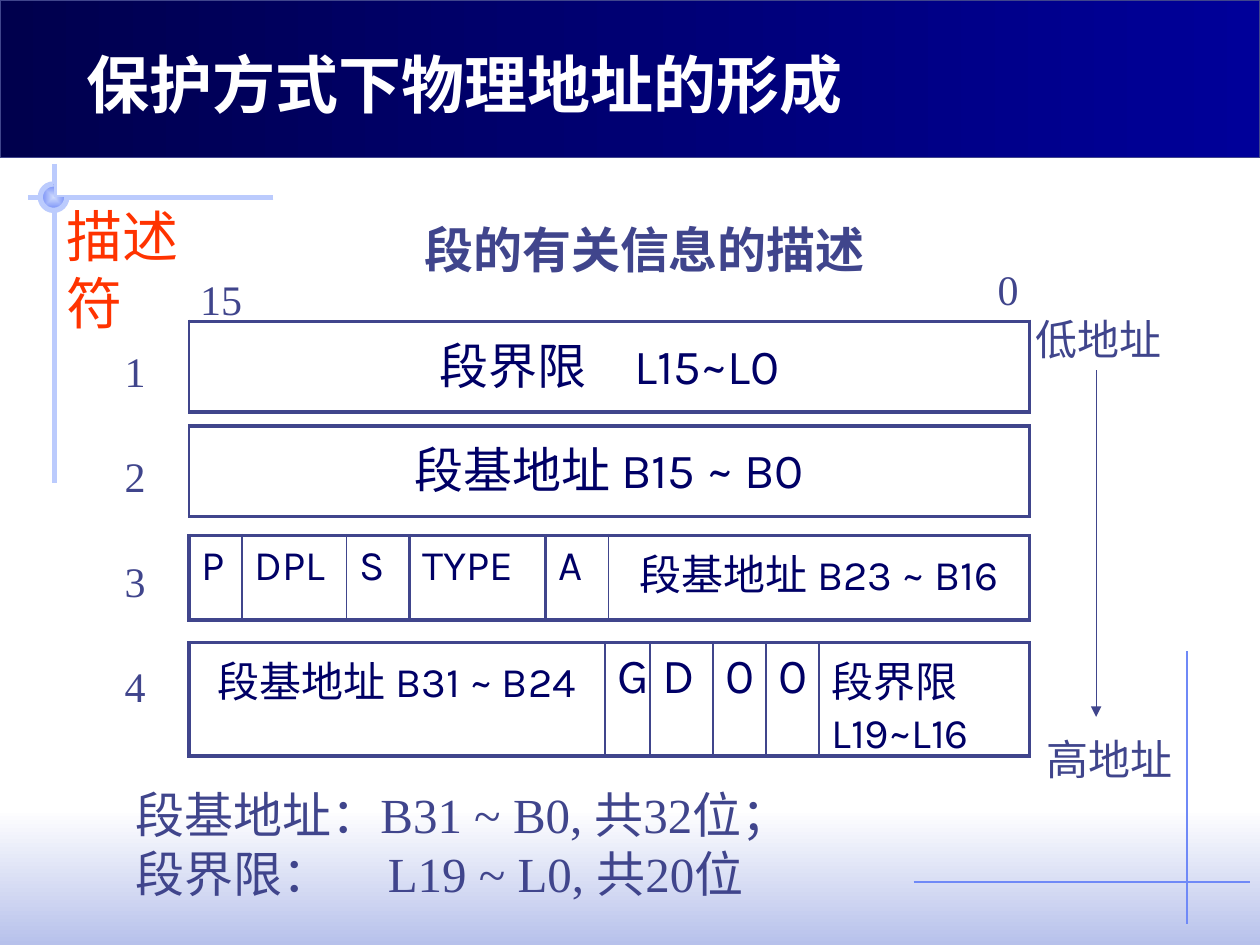
import pptx
import pptx.dml.color
import pptx.enum.dml
import pptx.enum.shapes
import pptx.enum.text
import pptx.oxml
import pptx.oxml.ns
import pptx.util
from lxml import etree
from pptx.util import Inches

SHAPES = pptx.enum.shapes.MSO_SHAPE
ALIGN = pptx.enum.text.PP_ALIGN
SERIF, SANS = "Times New Roman", "Karla"
INK, NAVY, PALE, BLUE = "40458C", "000066", "BBCBFD", "6F89F7"
THIN, THICK = 1, 2.25
TABLE_LEFT = 1.5


def rgb(value):
    return pptx.dml.color.RGBColor.from_string(value)


def qualified(tag):
    return pptx.oxml.ns.qn(tag)


def add_span(para, text, size, color, font=SERIF, bold=False):
    span = para.add_run()
    span.text = text
    span.font.size = pptx.util.Pt(size)
    span.font.name = font
    span.font.bold = bold
    span.font.color.rgb = rgb(color)


def fit_frame(frame):
    """Let the box follow its text, without wrapping."""
    frame.word_wrap = False
    frame.auto_size = pptx.enum.text.MSO_AUTO_SIZE.SHAPE_TO_FIT_TEXT
    frame.vertical_anchor = pptx.enum.text.MSO_ANCHOR.TOP


def place(shape, left, top, width, height):
    shape.left, shape.top = Inches(left), Inches(top)
    shape.width, shape.height = Inches(width), Inches(height)


def add_label(page, text, left, top, width, height=0.5, size=24, color=INK,
              font=SERIF, bold=False):
    box = page.shapes.add_textbox(*map(Inches, (left, top, width, height)))
    fit_frame(box.text_frame)
    for index, line in enumerate(text.split("\n")):
        para = box.text_frame.paragraphs[0] if index == 0 else box.text_frame.add_paragraph()
        add_span(para, line, size, color, font, bold)
    return box


def add_tab_stop(para, position):
    stops = etree.SubElement(para._p.get_or_add_pPr(), qualified("a:tabLst"))
    etree.SubElement(stops, qualified("a:tab"), pos=str(Inches(position)), algn="l")


def add_line(page, start, end, color, width, arrow=False):
    line = page.shapes.add_connector(
        pptx.enum.shapes.MSO_CONNECTOR.STRAIGHT, *map(Inches, start + end))
    line.line.color.rgb = rgb(color)
    line.line.width = pptx.util.Pt(width)
    if arrow:
        etree.SubElement(line.line._get_or_add_ln(), qualified("a:tailEnd"), type="triangle")
    etree.SubElement(line._element.spPr, qualified("a:effectLst"))


def add_gradient_shape(page, kind, area, colors, angle=0):
    shape = page.shapes.add_shape(kind, *map(Inches, area))
    shape.shadow.inherit = False
    shape.line.fill.background()
    shape.fill.gradient()
    shape.fill.gradient_angle = angle
    for stop, color in zip(shape.fill.gradient_stops, colors):
        stop.color.rgb = rgb(color)
    return shape


def add_corner_ring(page):
    """Three quarters of a disc, outlined along its arc only."""
    area = (0.32, 1.46, 0.21, 0.21)
    disc = add_gradient_shape(page, SHAPES.PIE, area, ("CFDBFD", BLUE))
    gradient = disc._element.spPr.find(qualified("a:gradFill"))
    gradient.remove(gradient.find(qualified("a:lin")))
    center = etree.SubElement(gradient, qualified("a:path"), path="shape")
    etree.SubElement(center, qualified("a:fillToRect"),
                     dict.fromkeys("ltrb", "50000"))
    ring = page.shapes.add_shape(SHAPES.ARC, *map(Inches, area))
    ring.shadow.inherit = False
    ring.adjustments[0], ring.adjustments[1] = 0, 162
    ring.fill.background()
    ring.line.color.rgb = rgb(PALE)
    ring.line.width = pptx.util.Pt(3)


def set_borders(cell, left, right):
    properties = cell._tc.get_or_add_tcPr()
    for side, width in (("L", left), ("R", right), ("T", THICK), ("B", THICK)):
        border = etree.SubElement(properties, qualified("a:ln" + side),
                                  w=str(pptx.util.Pt(width)))
        fill = etree.SubElement(border, qualified("a:solidFill"))
        etree.SubElement(fill, qualified("a:srgbClr"), val=INK)


def add_word_row(page, top, height, fields, rules):
    """One descriptor word: fields are (text, width, size, alignment)."""
    total = sum(field[1] for field in fields)
    frame = page.shapes.add_table(
        1, len(fields), *map(Inches, (TABLE_LEFT, top, total, height)))
    table = frame.table
    table.first_row = table.horz_banding = False
    for index, (text, width, size, alignment) in enumerate(fields):
        table.columns[index].width = Inches(width)
        cell = table.cell(0, index)
        set_borders(cell, rules[index], rules[index + 1])
        cell.fill.background()
        para = cell.text_frame.paragraphs[0]
        para.alignment = alignment
        add_span(para, text, size, NAVY, SANS)


def add_background(page):
    add_gradient_shape(page, SHAPES.RECTANGLE, (0, 6.42, 10, 1.08),
                       ("FFFFFF", "B7C1EB"), 270)
    add_line(page, (9.42, 5.17), (9.42, 7.33), BLUE, 0.75)
    add_line(page, (2.17, 1.57), (0.22, 1.57), PALE, 3)
    add_line(page, (0.43, 1.3), (0.43, 3.83), PALE, 3)
    add_corner_ring(page)
    band = add_gradient_shape(page, SHAPES.RECTANGLE, (0, 0, 10, 1.25),
                              ("00004D", "000099"))
    band.line.color.rgb = rgb(INK)
    band.line.width = pptx.util.Pt(0.75)
    add_line(page, (7.25, 7), (9.92, 7), BLUE, 0.75)


def add_title(page, text):
    title = page.shapes.title
    title._element.getparent().append(title._element)  # in front of the band
    place(title, 0.59, 0.31, 6.26, 0.71)
    fit_frame(title.text_frame)
    para = title.text_frame.paragraphs[0]
    para.alignment = ALIGN.LEFT
    add_span(para, text, 36, "FFFFFF", bold=True)


def add_descriptor(page):
    center, left = ALIGN.CENTER, ALIGN.LEFT
    add_word_row(page, 2.55, 0.72, [("段界限　L15~L0", 6.67, 28, center)], (THIN, THICK))
    add_word_row(page, 3.38, 0.72, [("段基地址 B15 ~ B0", 6.67, 28, center)], (THIN, THICK))
    add_word_row(page, 4.25, 0.67, [
        ("P", 0.42, 24, left), ("DPL", 0.83, 24, left), ("S", 0.5, 24, left),
        ("TYPE", 1.08, 24, left), ("A", 0.5, 24, left),
        ("段基地址 B23 ~ B16", 3.34, 24, center),
    ], (THICK, THIN, THIN, THICK, THICK, THIN, THICK))
    add_word_row(page, 5.1, 0.9, [
        ("段基地址 B31 ~ B24", 3.3, 24, center), ("G", 0.36, 28, left),
        ("D", 0.5, 28, left), ("0", 0.42, 28, left), ("0", 0.42, 28, left),
        ("段界限L19~L16", 1.67, 24, left),
    ], (THICK, THIN, THIN, THIN, THIN, THIN, THICK))


def main():
    deck = pptx.Presentation()
    deck.slide_width, deck.slide_height = Inches(10), Inches(7.5)
    page = deck.slides.add_slide(deck.slide_layouts[5])
    add_background(page)
    add_title(page, "保护方式下物理地址的形成")
    add_label(page, "描述符", 0.43, 1.55, 1.53, 0.64, size=32, color="FF3300")
    add_label(page, "段的有关信息的描述", 3.27, 1.69, 3.7, 0.57, size=28, font=SANS, bold=True)
    add_descriptor(page)
    add_label(page, "0", 7.82, 2.04, 0.37)
    add_label(page, "15", 1.49, 2.12, 0.53)
    for index in range(4):
        add_label(page, str(index + 1), 0.89, 2.69 + index * 2.5 / 3, 0.37)
    add_line(page, (8.7, 2.94), (8.7, 5.69), INK, 0.75, arrow=True)
    add_label(page, "低地址", 8.12, 2.44, 1.2)
    add_label(page, "高地址", 8.21, 5.77, 1.2)
    summary = add_label(page, "段基地址：B31 ~ B0, 共32位；\n段界限：\tL19 ~ L0, 共20位",
                        0.98, 6.18, 5.4, 1.03, size=28)
    add_tab_stop(summary.text_frame.paragraphs[1], 2)
    deck.save("out.pptx")


if __name__ == "__main__":
    main()
